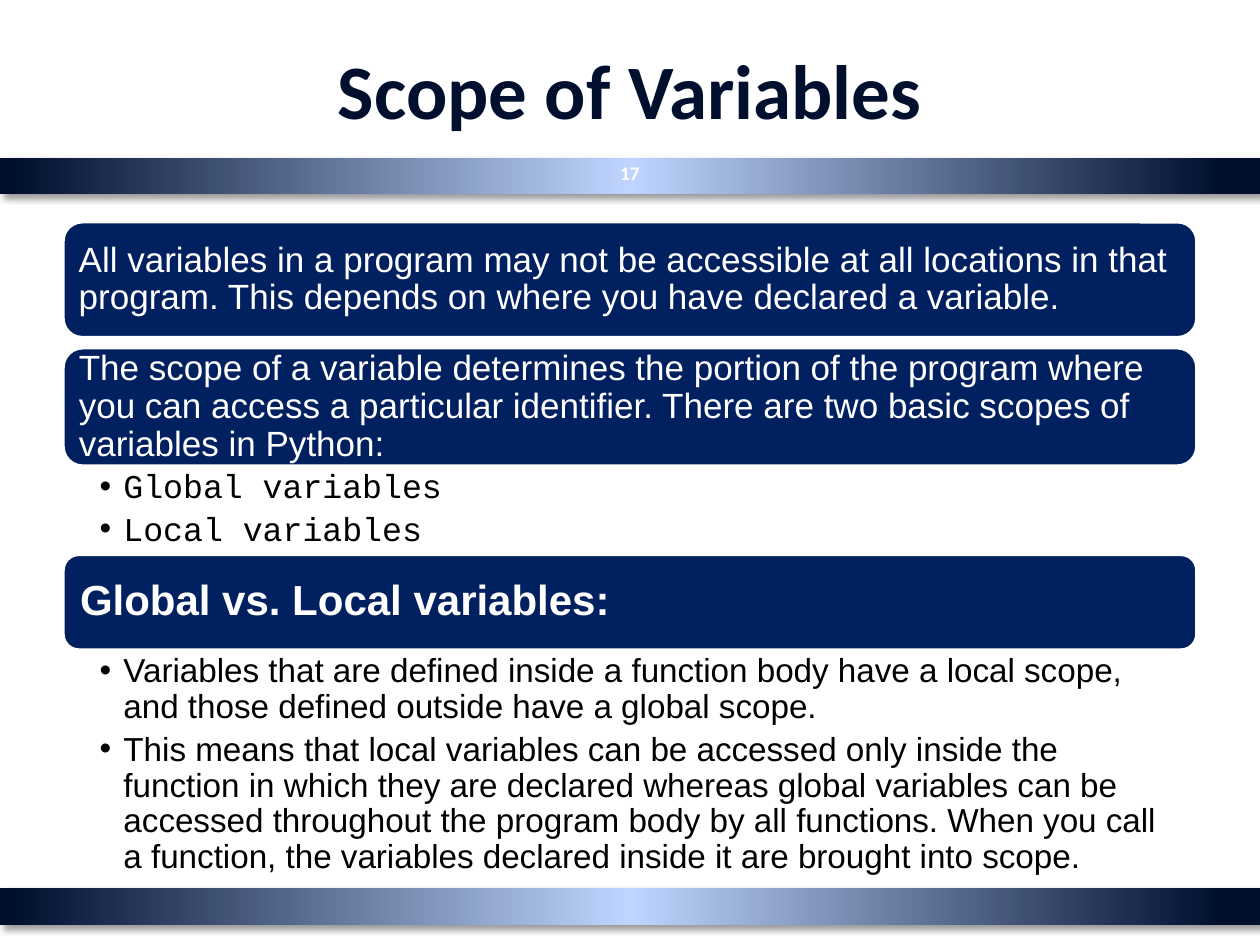
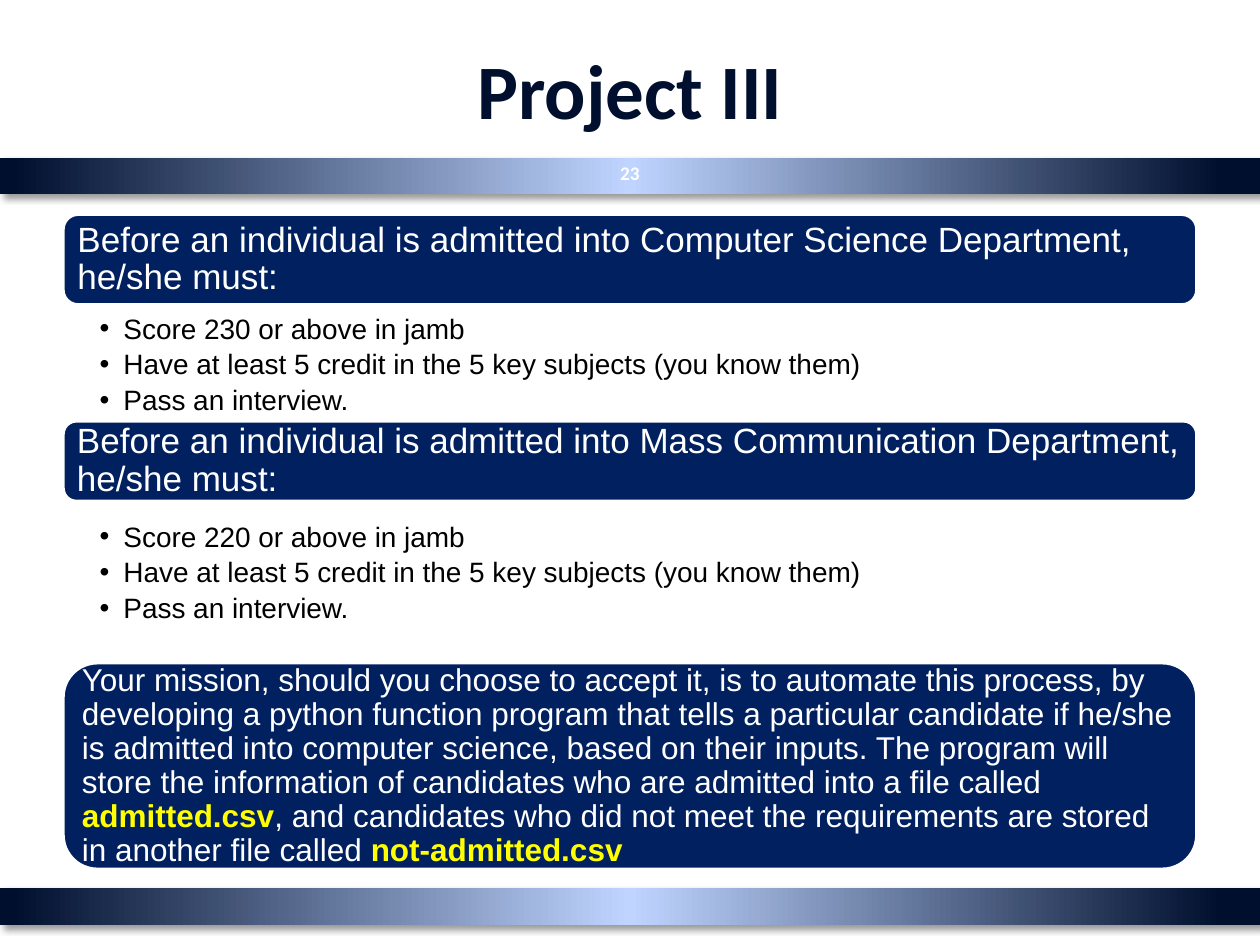
"""Build two Python course slides: variable scope and the admission project."""
from lxml import etree
from pptx import Presentation
from pptx.dml.color import RGBColor
from pptx.enum.shapes import MSO_SHAPE
from pptx.enum.text import MSO_ANCHOR, PP_ALIGN
from pptx.oxml.ns import qn
from pptx.util import Inches, Pt

RECTANGLE, ROUNDED = MSO_SHAPE.RECTANGLE, MSO_SHAPE.ROUNDED_RECTANGLE
TOP, MIDDLE = MSO_ANCHOR.TOP, MSO_ANCHOR.MIDDLE
LEFT, CENTER = PP_ALIGN.LEFT, PP_ALIGN.CENTER

INK = RGBColor(0x00, 0x0F, 0x2E)
GLOW = RGBColor(0xBF, 0xD5, 0xFF)
NAVY = RGBColor(0x00, 0x20, 0x60)
WHITE = RGBColor(0xFF, 0xFF, 0xFF)
BLACK = RGBColor(0x00, 0x00, 0x00)
YELLOW = RGBColor(0xFF, 0xFF, 0x00)

BAND_STOPS = [(0, INK), (3, INK), (50, GLOW), (99, INK), (100, INK)]
BAND_TOPS = (7.05, 1.25)
MARGIN, CONTENT_WIDTH = 0.5, 9
BULLET_INDENT = 0.19

REQUIREMENTS = ["Have at least 5 credit in the 5 key subjects (you know them)", "Pass an interview."]
MISSION = [
    "Your mission, should you choose to accept it, is to automate this process, by developing a "
    "python function program that tells a particular candidate if he/she is admitted into computer "
    "science, based on their inputs. The program will store the information of candidates who are "
    "admitted into a file called ",
    ("admitted.csv", YELLOW),
    ", and candidates who did not meet the requirements are stored in another file called ",
    ("not-admitted.csv", YELLOW),
]

SLIDES = [
    {
        "title": "Scope of Variables",
        "number": "17",
        "panels": [
            {"top": 1.76, "height": 0.92, "text": [
                "All variables in a program may not be accessible at all locations in that program. "
                "This depends on where you have declared a variable."]},
            {"top": 2.76, "height": 0.94, "text": [
                "The scope of a variable determines the portion of the program where you can access "
                "a particular identifier. There are two basic scopes of variables in Python:"]},
            {"top": 4.4, "height": 0.76, "size": 24, "inset": 0.1, "bold": True,
             "text": ["Global vs. Local variables:"]},
        ],
        "lists": [
            {"top": 3.7, "height": 0.71, "font": "Courier New",
             "items": ["Global variables", "Local variables"]},
            {"top": 5.16, "height": 2.15, "items": [
                "Variables that are defined inside a function body have a local scope, and those "
                "defined outside have a global scope.",
                "This means that local variables can be accessed only inside the function in which "
                "they are declared whereas global variables can be accessed throughout the program "
                "body by all functions. When you call a function, the variables declared inside it "
                "are brought into scope."]},
        ],
        "list_size": 19,
        "list_insets": (0.29, 0.03, 0.19, 0.03),
    },
    {
        "title": "Project III",
        "number": "23",
        "panels": [
            {"top": 1.7, "height": 0.72, "text": [
                "Before an individual is admitted into Computer Science Department, he/she must:"]},
            {"top": 3.34, "height": 0.64, "text": [
                "Before an individual is admitted into Mass Communication Department, he/she must:"]},
            {"top": 5.26, "height": 1.64, "size": 18, "inset": 0.07, "text": MISSION},
        ],
        "lists": [
            {"top": 2.48, "height": 0.85, "items": ["Score 230 or above in jamb", *REQUIREMENTS]},
            {"top": 4.13, "height": 0.85, "items": ["Score 220 or above in jamb", *REQUIREMENTS]},
        ],
        "list_size": 16,
        "list_insets": (0.29, 0.02, 0.12, 0.02),
    },
]


def add_xml(parent, tag, **attributes):
    return etree.SubElement(parent, qn(tag), {key: str(value) for key, value in attributes.items()})


def add_color(parent, color):
    return add_xml(parent, "a:srgbClr", val=color)


def write(shape, paragraphs, *, size, color, font="Arial", bold=False, align=LEFT, anchor=MIDDLE,
          insets=(0.1, 0.05, 0.1, 0.05), line_spacing=None, space_after=None, bullet=False):
    """Fill a shape with paragraphs, each a list of strings or (string, highlight colour) pairs."""
    frame = shape.text_frame
    frame.word_wrap = True
    frame.vertical_anchor = anchor
    frame.margin_left, frame.margin_top, frame.margin_right, frame.margin_bottom = map(Inches, insets)
    for index, parts in enumerate(paragraphs):
        paragraph = frame.add_paragraph() if index else frame.paragraphs[0]
        paragraph.alignment = align
        if line_spacing:
            paragraph.line_spacing = line_spacing
        properties = paragraph._p.get_or_add_pPr()
        if space_after:
            add_xml(add_xml(properties, "a:spcAft"), "a:spcPct", val=space_after * 1000)
        if bullet:
            properties.set("marL", str(Inches(BULLET_INDENT)))
            properties.set("indent", str(-Inches(BULLET_INDENT)))
            add_color(add_xml(properties, "a:buClr"), color)
            add_xml(properties, "a:buFont", typeface="Arial")
            add_xml(properties, "a:buChar", char="•")
        for part in parts:
            words, highlight = part if isinstance(part, tuple) else (part, None)
            run = paragraph.add_run()
            run.text = words
            run.font.name = font
            run.font.size = Pt(size)
            run.font.bold = bold or highlight is not None
            run.font.color.rgb = highlight or color


def add_box(slide, left, top, width, height):
    return slide.shapes.add_textbox(*map(Inches, (left, top, width, height)))


def add_band(slide, top):
    band = slide.shapes.add_shape(RECTANGLE, 0, Inches(top), Inches(10), Inches(0.29))
    band.fill.gradient()
    band.fill.gradient_angle = 180
    band.line.fill.background()
    band.shadow.inherit = False
    properties = band.element.spPr
    stops = properties.find(".//" + qn("a:gsLst"))
    for stop in list(stops):
        stops.remove(stop)
    for position, color in BAND_STOPS:
        add_color(add_xml(stops, "a:gs", pos=position * 1000), color)
    shadow = add_xml(properties.find(qn("a:effectLst")), "a:outerShdw", blurRad=Pt(4), dist=Pt(3),
                     dir=45 * 60000, algn="tl", rotWithShape=0)
    add_xml(add_color(shadow, BLACK), "a:alpha", val=40000)


def add_panel(slide, top, height, text, size=20, inset=0.08, bold=False):
    panel = slide.shapes.add_shape(ROUNDED, *map(Inches, (MARGIN, top, CONTENT_WIDTH, height)))
    panel.fill.solid()
    panel.fill.fore_color.rgb = NAVY
    panel.line.color.rgb = WHITE
    panel.line.width = Pt(2)
    panel.shadow.inherit = False
    write(panel, [text], size=size, color=WHITE, bold=bold, insets=[inset] * 4,
          line_spacing=0.9, space_after=35)


def add_list(slide, top, height, items, size, insets, font="Arial"):
    write(add_box(slide, MARGIN, top, CONTENT_WIDTH, height), [[item] for item in items],
          size=size, color=BLACK, font=font, anchor=TOP, insets=insets,
          line_spacing=0.9, space_after=20, bullet=True)


def add_slide(deck, content):
    slide = deck.slides.add_slide(deck.slide_layouts[6])
    for top in BAND_TOPS:
        add_band(slide, top)
    write(add_box(slide, MARGIN, 0.08, CONTENT_WIDTH, 1.25), [[content["title"]]],
          size=44, color=INK, font="Calibri", bold=True, align=CENTER)
    write(add_box(slide, 4.79, 1.17, 0.42, 0.4), [[content["number"]]],
          size=11, color=WHITE, font="Calibri", bold=True, align=CENTER)
    for panel in content["panels"]:
        add_panel(slide, **panel)
    for bullets in content["lists"]:
        add_list(slide, size=content["list_size"], insets=content["list_insets"], **bullets)


def main():
    deck = Presentation()
    deck.slide_width, deck.slide_height = Inches(10), Inches(7.5)
    for content in SLIDES:
        add_slide(deck, content)
    deck.save("out.pptx")


if __name__ == "__main__":
    main()
